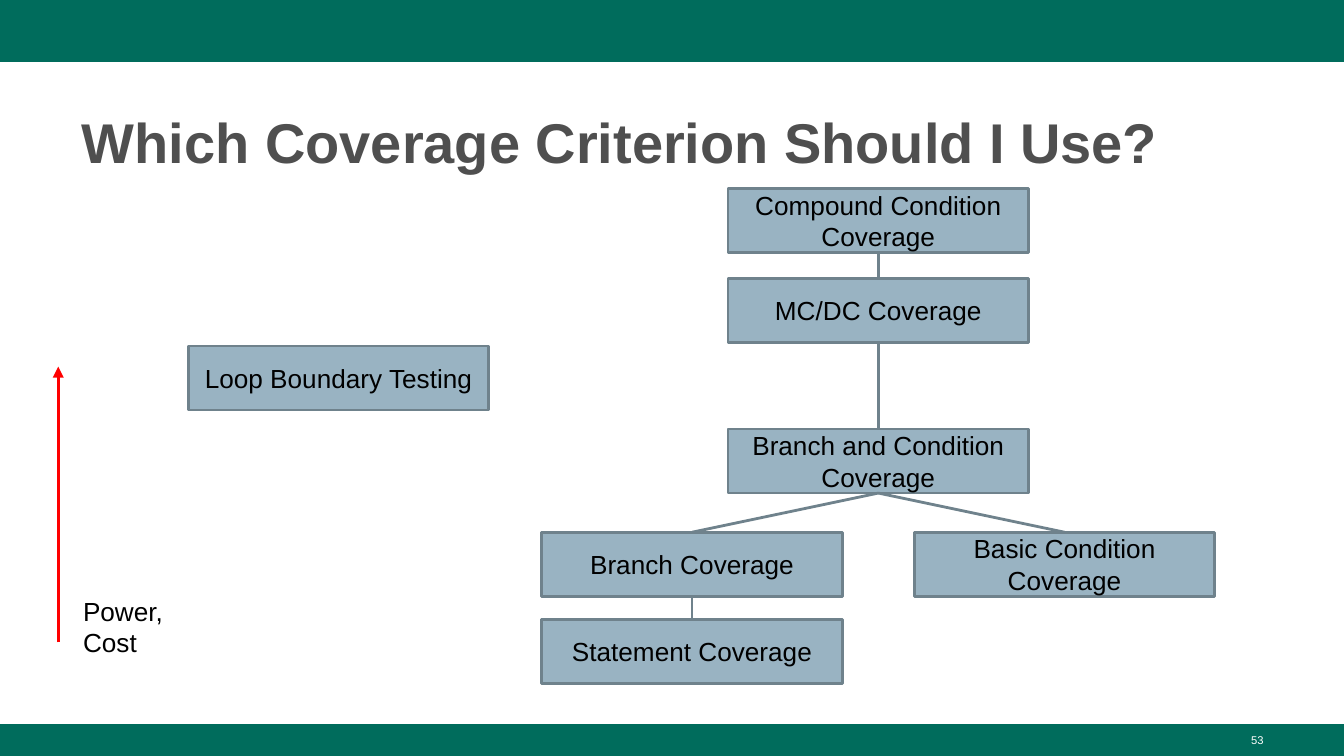
from collections import namedtuple
from dataclasses import dataclass

import pptx
import pptx.dml.color
import pptx.enum.shapes
import pptx.enum.text
import pptx.oxml
import pptx.oxml.ns
import pptx.util

Cm = pptx.util.Cm
SHAPE = pptx.enum.shapes.MSO_SHAPE.RECTANGLE
STRAIGHT = pptx.enum.shapes.MSO_CONNECTOR.STRAIGHT
ALIGN = pptx.enum.text.PP_ALIGN
ANCHOR = pptx.enum.text.MSO_ANCHOR
TOP, BOTTOM = 0, 2

Box = namedtuple("Box", "x y w h")


@dataclass(frozen=True)
class Theme:
    font: str = "Arial"
    band: str = "006C5C"
    heading: str = "4F4F4F"
    ink: str = "000000"
    light: str = "FFFFFF"
    node: str = "99B3C2"
    edge: str = "6F828C"
    arrow: str = "FF0000"
    title_size: float = 30
    body_size: float = 14
    number_size: float = 6
    line_width: float = 1.5


THEME = Theme()


def rgb(value):
    return pptx.dml.color.RGBColor.from_string(value)


def apply(target, values):
    for name, value in values.items():
        setattr(target, name, value)


def write(sp, text, size, color, bold=False, align=ALIGN.LEFT,
          anchor=ANCHOR.MIDDLE, pad=0.25, spacing=None):
    """Fill a shape with one paragraph; pad is the top and bottom inset in cm."""
    tf = sp.text_frame
    apply(tf, {"word_wrap": True, "vertical_anchor": anchor,
               "margin_left": Cm(0.25), "margin_right": Cm(0.25),
               "margin_top": Cm(pad), "margin_bottom": Cm(pad)})
    p = tf.paragraphs[0]
    apply(p, {"alignment": align, "line_spacing": spacing})
    r = p.add_run()
    r.text = text
    apply(r.font, {"name": THEME.font, "size": pptx.util.Pt(size), "bold": bold})
    r.font.color.rgb = rgb(color)


def add_text(s, box, *args, **formats):
    write(s.shapes.add_textbox(*map(Cm, box)), *args, **formats)


def add_rect(s, box, fill, line=None):
    sp = s.shapes.add_shape(SHAPE, *map(Cm, box))
    sp.shadow.inherit = False
    sp.fill.solid()
    sp.fill.fore_color.rgb = rgb(fill)
    if line:
        sp.line.color.rgb = rgb(line)
        sp.line.width = pptx.util.Pt(THEME.line_width)
    else:
        sp.line.fill.background()
    return sp


def add_line(s, color, x1=0, y1=0, x2=0, y2=0):
    cxn = s.shapes.add_connector(STRAIGHT, Cm(x1), Cm(y1), Cm(x2), Cm(y2))
    cxn.line.color.rgb = rgb(color)
    cxn.line.width = pptx.util.Pt(THEME.line_width)
    pptx.oxml.ns  # namespace helpers for the effect list
    cxn._element.spPr.append(pptx.oxml.parse_xml(
        f'<a:effectLst {pptx.oxml.ns.nsdecls("a")}/>'))
    return cxn


def frame(s, box):
    """Draw the bands at the top and bottom, and the slide number."""
    foot = 0.6
    y = box.y + box.h - foot
    add_rect(s, Box(box.x, box.y, box.w, 1.17), THEME.band)
    add_rect(s, Box(box.x, y, box.w, foot), THEME.band)
    add_text(s, Box(box.x + 18.21, y, 5.92, foot), "53", THEME.number_size,
             THEME.light, align=ALIGN.RIGHT, pad=0.13)


def title(s, box):
    add_text(s, box, "Which Coverage Criterion Should I Use?", THEME.title_size,
             THEME.heading, bold=True, pad=0.13, spacing=1.08)


def power_axis(s, box):
    """Draw the upward arrow on the left edge of the box, labelled at its foot."""
    cxn = add_line(s, THEME.arrow, box.x, box.y + box.h, box.x, box.y)
    cxn.line._get_or_add_ln().append(pptx.oxml.parse_xml(
        f'<a:tailEnd {pptx.oxml.ns.nsdecls("a")} type="triangle"/>'))
    add_text(s, Box(box.x + 0.22, box.y + box.h - 1.14, 2.95, 0.79), "Power, Cost",
             THEME.body_size, THEME.ink, anchor=ANCHOR.TOP)


def criteria(s, box):
    """Draw the coverage hierarchy, stronger criteria above weaker ones."""
    w, h, step = 5.68, 1.21, 3.52
    right = box.w - w
    middle, left = right - step, right - 2 * step
    places = {
        "Compound Condition Coverage": (middle, 0),
        "MC/DC Coverage": (middle, 1.7),
        "Loop Boundary Testing": (0, 2.98),
        "Branch and Condition Coverage": (middle, 4.55),
        "Branch Coverage": (left, 6.5),
        "Basic Condition Coverage": (right, 6.5),
        "Statement Coverage": (left, 8.15),
    }
    links = [
        ("Compound Condition Coverage", "MC/DC Coverage"),
        ("MC/DC Coverage", "Branch and Condition Coverage"),
        ("Branch and Condition Coverage", "Branch Coverage"),
        ("Branch and Condition Coverage", "Basic Condition Coverage"),
        ("Branch Coverage", "Statement Coverage"),
    ]
    nodes = {}
    for text, (x, y) in places.items():
        sp = add_rect(s, Box(box.x + x, box.y + y, w, h), THEME.node, THEME.edge)
        write(sp, text, THEME.body_size, THEME.ink, align=ALIGN.CENTER)
        nodes[text] = sp
    for upper, lower in links:
        cxn = add_line(s, THEME.edge)
        cxn.begin_connect(nodes[upper], BOTTOM)
        cxn.end_connect(nodes[lower], TOP)


def main():
    prs = pptx.Presentation()
    page = Box(0, 0, 25.4, 14.29)
    prs.slide_width, prs.slide_height = Cm(page.w), Cm(page.h)
    s = prs.slides.add_slide(prs.slide_layouts[6])
    frame(s, page)
    title(s, Box(1.3, 1.7, 22.83, 1.85))
    power_axis(s, Box(1.1, 6.93, 3.17, 5.21))
    criteria(s, Box(3.56, 3.56, 19.4, 9.36))
    prs.save("out.pptx")


if __name__ == "__main__":
    main()
